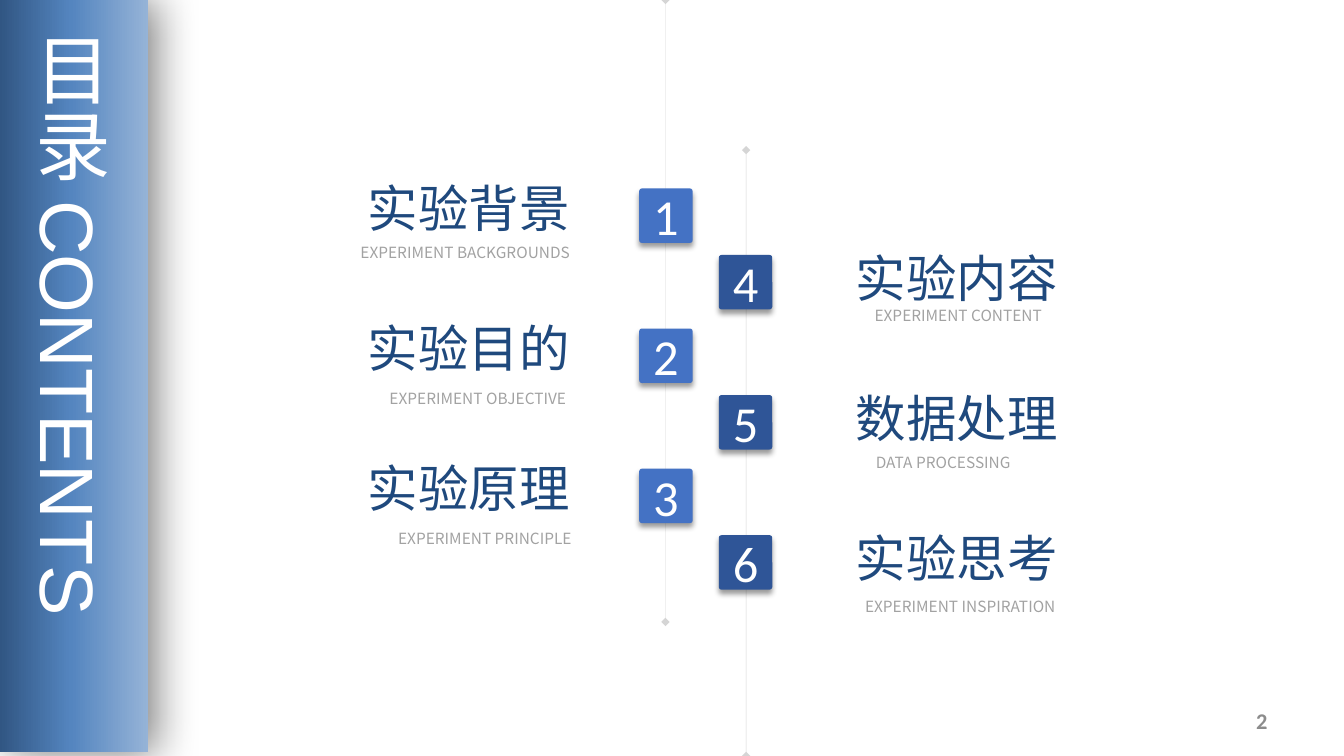
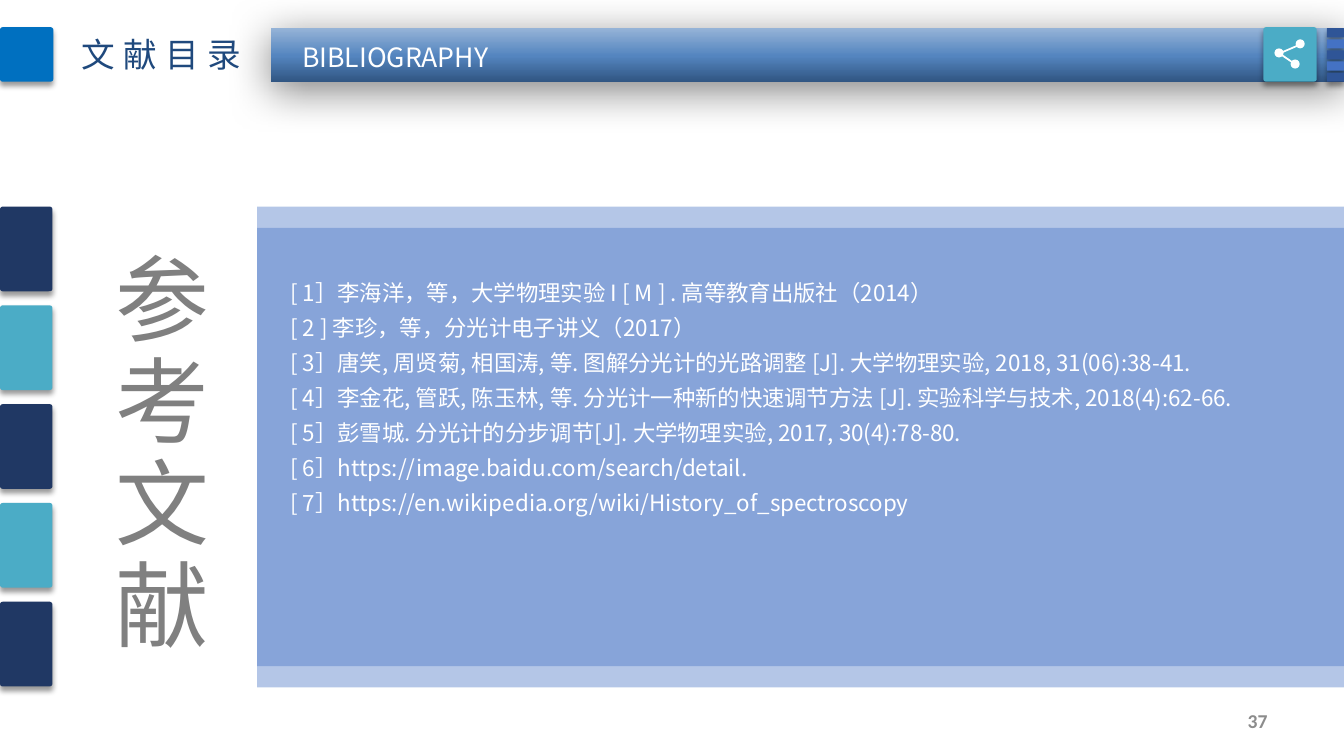
"""Builds the contents slide and the bibliography slide of a physics lab report."""
from lxml import etree
from pptx import Presentation
from pptx import util as u
from pptx.dml.color import RGBColor
from pptx.enum import shapes, text
from pptx.oxml.ns import qn

HAN = "Noto Sans CJK SC"
WHITE, NAVY, BLUE, DEEP, TEAL = "FFFFFF", "1F497D", "4472C4", "2F5597", "4BACC6"
GRADIENT = [(0, "315683"), (48, "5485BF"), (100, "95B3D7")]
SOFT_SHADOW = {"alpha": 40, "blur": 4, "dist": 3, "angle": 90}
WIDE_SHADOW = {"alpha": 50, "blur": 31, "dist": 6, "angle": 97}
STYLES = {
    "side title": ({"size": u.Pt(54), "name": HAN}, WHITE),
    "side latin": ({"size": u.Pt(54), "name": "Arial"}, WHITE),
    "page title": ({"size": u.Pt(24), "name": HAN}, NAVY),
    "band": ({"size": u.Pt(19), "name": HAN}, WHITE),
    "number": ({"size": u.Pt(36), "name": "Calibri"}, WHITE),
    "heading": ({"size": u.Pt(36), "name": HAN}, NAVY),
    "caption": ({"size": u.Pt(11), "name": HAN}, "A2A2A2"),
    "vertical": ({"size": u.Pt(67), "name": HAN}, "808080"),
    "reference": ({"size": u.Pt(16), "name": HAN}, WHITE),
    "page 16": ({"size": u.Pt(16), "name": "Calibri", "bold": True}, "8C8C8C"),
    "page 14": ({"size": u.Pt(14), "name": "Calibri", "bold": True}, "8C8C8C"),
}
CHAPTERS = [
    ("实验背景", "EXPERIMENT BACKGROUNDS", (3.42, 2.36, 2.39)),
    ("实验目的", "EXPERIMENT OBJECTIVE", (3.74, 3.81, 2)),
    ("实验原理", "EXPERIMENT PRINCIPLE", (3.82, 5.2, 1.98)),
    ("实验内容", "EXPERIMENT CONTENT", (8.53, 2.99, 1.95)),
    ("数据处理", "DATA PROCESSING", (8.55, 4.45, 1.61)),
    ("实验思考", "EXPERIMENT INSPIRATION", (8.43, 5.87, 2.19)),
]
REFERENCES = [
    "[ 1］李海洋，等，大学物理实验 I [ M ] . 高等教育出版社（2014）",
    "[ 2 ] 李珍，等，分光计电子讲义（2017）",
    "[ 3］唐笑, 周贤菊, 相国涛, 等. 图解分光计的光路调整 [J]. 大学物理实验, 2018, 31(06):38-41.",
    "[ 4］李金花, 管跃, 陈玉林, 等. 分光计一种新的快速调节方法 [J]. 实验科学与技术, 2018(4):62-66.",
    "[ 5］彭雪城. 分光计的分步调节[J]. 大学物理实验, 2017, 30(4):78-80.",
    "[ 6］https://image.baidu.com/search/detail.",
    "[ 7］https://en.wikipedia.org/wiki/History_of_spectroscopy",
]


def rgb(code):
    """Turn a hex string into a colour."""
    return RGBColor.from_string(code)


def add_xml(parent, tag, **values):
    """Append a drawing element with the given attributes."""
    return etree.SubElement(parent, qn(tag), {k: str(v) for k, v in values.items()})


def inches(box):
    """Convert a sequence of numbers to lengths."""
    return [u.Inches(value) for value in box]


class Deck:
    """Holds the presentation, its style and the current slide."""

    def __init__(self):
        """Start a wide presentation."""
        self.show = Presentation()
        self.show.slide_width, self.show.slide_height = inches((13.33, 7.5))
        self.slide = None

    def new_slide(self, layout):
        """Begin a slide on the given layout."""
        self.slide = self.show.slides.add_slide(self.show.slide_layouts[layout])

    def put_words(self, paragraph, words, style, spacing=0):
        """Add a styled run to a paragraph."""
        run = paragraph.add_run()
        run.text = words
        formats, colour = STYLES[style]
        for key, value in formats.items():
            setattr(run.font, key, value)
        run.font.color.rgb = rgb(colour)
        props = run.font._element
        add_xml(props, "a:ea", typeface=formats["name"])
        if spacing:
            props.set("spc", str(spacing * 100))

    def set_frame(self, frame, vertical=False, **values):
        """Apply frame settings over the shared defaults."""
        settings = {"word_wrap": True, "vertical_anchor": text.MSO_ANCHOR.TOP,
                    "auto_size": text.MSO_AUTO_SIZE.NONE, **values}
        for key, value in settings.items():
            setattr(frame, key, value)
        if vertical:
            frame._txBody.bodyPr.set("vert", "eaVert")

    def place(self, holder, box):
        """Move a placeholder and bring it to the front."""
        holder.left, holder.top, holder.width, holder.height = inches(box)
        holder.element.getparent().append(holder.element)

    def title(self, box, runs, spacing=0, **frame):
        """Fill the title placeholder with styled runs."""
        holder = self.slide.shapes.title
        self.place(holder, box)
        self.set_frame(holder.text_frame, **frame)
        paragraph = holder.text_frame.paragraphs[0]
        paragraph.alignment = text.PP_ALIGN.LEFT
        for words, style in runs:
            self.put_words(paragraph, words, style, spacing)

    def body(self, box, lines, style):
        """Fill the body placeholder with an unbulleted list."""
        holder = self.slide.placeholders[1]
        self.place(holder, box)
        frame = holder.text_frame
        self.set_frame(frame)
        for index, line in enumerate(lines):
            paragraph = frame.add_paragraph() if index else frame.paragraphs[0]
            props = paragraph._p.get_or_add_pPr()
            props.set("marL", "0")
            props.set("indent", "0")
            add_xml(props, "a:buNone")
            paragraph.space_before = u.Pt(0)
            paragraph.line_spacing = 1.3
            self.put_words(paragraph, line, style)

    def label(self, box, words, style, align=text.PP_ALIGN.LEFT, spacing=0, **frame):
        """Add a text box with one line."""
        holder = self.slide.shapes.add_textbox(*inches(box))
        fit = {"word_wrap": False, "auto_size": text.MSO_AUTO_SIZE.SHAPE_TO_FIT_TEXT}
        self.set_frame(holder.text_frame, **{**fit, **frame})
        paragraph = holder.text_frame.paragraphs[0]
        paragraph.alignment = align
        self.put_words(paragraph, words, style, spacing)

    def page_number(self, words, style):
        """Add the page number at the bottom right."""
        self.label((9.56, 6.95, 3.11, 0.4), words, style, text.PP_ALIGN.RIGHT,
                   word_wrap=True, auto_size=text.MSO_AUTO_SIZE.NONE,
                   vertical_anchor=text.MSO_ANCHOR.MIDDLE)

    def block(self, box, colour, kind=shapes.MSO_SHAPE.RECTANGLE, alpha=100, shadow=None):
        """Add a filled shape without outline."""
        shape = self.slide.shapes.add_shape(kind, *inches(box))
        shape.fill.solid()
        shape.fill.fore_color.rgb = rgb(colour)
        if alpha < 100:
            self.fade(shape, alpha)
        shape.line.fill.background()
        shape.shadow.inherit = False
        if shadow:
            self.cast(shape, **shadow)
        return shape

    def tile(self, box, colour, number=""):
        """Add a slightly rounded tile with a soft shadow and an optional number."""
        tile = self.block(box, colour, shapes.MSO_SHAPE.ROUNDED_RECTANGLE, shadow=SOFT_SHADOW)
        tile.adjustments[0] = 0.05
        if number:
            self.set_frame(tile.text_frame, vertical_anchor=text.MSO_ANCHOR.MIDDLE)
            paragraph = tile.text_frame.paragraphs[0]
            paragraph.alignment = text.PP_ALIGN.CENTER
            self.put_words(paragraph, number, "number")

    def band(self, box, angle, shadow):
        """Add a gradient band with a wide shadow."""
        band = self.block(box, BLUE, shadow=shadow)
        band.fill.gradient()
        band.fill.gradient_angle = angle
        stops = band.element.spPr.find(".//" + qn("a:gsLst"))
        stops.clear()
        for position, colour in GRADIENT:
            stop = add_xml(stops, "a:gs", pos=position * 1000)
            add_xml(stop, "a:srgbClr", val=colour)

    def line(self, start, end, colour, width, alpha=100, ends=None):
        """Add a straight line, optionally faded and with end marks."""
        line = self.slide.shapes.add_connector(
            shapes.MSO_CONNECTOR.STRAIGHT, *inches(start + end))
        line.line.color.rgb = rgb(colour)
        line.line.width = u.Pt(width)
        if alpha < 100:
            self.fade(line, alpha)
        if ends:
            for tag in ("a:headEnd", "a:tailEnd"):
                add_xml(line.line._get_or_add_ln(), tag, type=ends)
        add_xml(line.element.spPr, "a:effectLst")

    def fade(self, shape, alpha):
        """Set the opacity of the colour of a shape, in percent."""
        colour = shape.element.spPr.find(".//" + qn("a:srgbClr"))
        add_xml(colour, "a:alpha", val=alpha * 1000)

    def cast(self, shape, alpha, blur, dist, angle):
        """Give a shape an outer shadow."""
        effects = shape.element.spPr.find(qn("a:effectLst"))
        outer = add_xml(effects, "a:outerShdw", blurRad=u.Pt(blur), dist=u.Pt(dist),
                        dir=angle * 60000, algn="ctr", rotWithShape=0)
        add_xml(add_xml(outer, "a:srgbClr", val="000000"), "a:alpha", val=alpha * 1000)


def contents(deck):
    """Build the contents slide."""
    deck.new_slide(5)
    deck.line((7.4, 1.49), (7.4, 7.5), "808080", 0.25, 33, "diamond")
    deck.line((6.6, 0), (6.6, 6.17), "808080", 0.25, 33, "diamond")
    deck.band((0, 0, 1.47, 7.46), 0, {**WIDE_SHADOW, "angle": 0})
    deck.title((0.14, 0.27, 1.11, 7.23),
               [("目录 ", "side title"), ("CONTENTS", "side latin")], vertical=True)
    columns = [(6.34, 1.87, BLUE, 3.55, 1.71), (7.13, 2.53, DEEP, 8.39, 2.4)]
    for index, (heading, caption, spot) in enumerate(CHAPTERS):
        column, row = divmod(index, 3)
        tile_left, tile_top, colour, left, top = columns[column]
        drop = row * 1.39
        deck.tile((tile_left, tile_top + drop, 0.53, 0.54), colour, str(index + 1))
        deck.label((left, top + drop, 2.22, 0.71), heading, "heading")
        deck.label((*spot, 0.29), caption, "caption", text.PP_ALIGN.CENTER)
    deck.page_number("2", "page 16")


def bibliography(deck):
    """Build the bibliography slide."""
    deck.new_slide(1)
    for top in (2.26, 2.05):
        deck.block((2.55, top, 10.78, 4.56), BLUE, alpha=40)
    for index in range(5):
        deck.tile((0, 2.05 + index * 0.98, 0.52, 0.84), ("203864", TEAL)[index % 2])
    deck.label((0.86, 2.4, 1.33, 4.11), "参考文献", "vertical", spacing=6, vertical=True)
    deck.body((2.78, 2.64, 10.23, 2.54), REFERENCES, "reference")
    deck.band((2.69, 0.28, 10.64, 0.53), 90, WIDE_SHADOW)
    deck.tile((0, 0.27, 0.53, 0.54), "0070C0")
    deck.title((0.71, 0.29, 1.8, 0.5), [("文献目录", "page title")], 6, word_wrap=False,
               auto_size=text.MSO_AUTO_SIZE.SHAPE_TO_FIT_TEXT)
    deck.label((2.85, 0.36, 2.14, 0.42), "BIBLIOGRAPHY", "band", text.PP_ALIGN.CENTER)
    for index in range(5):
        deck.tile((13.16, 0.28 + index * 0.11, 0.17, 0.09), (DEEP, BLUE)[index % 2])
    deck.tile((12.53, 0.27, 0.53, 0.54), TEAL)
    hub, upper, lower = nodes = [(12.69, 0.53), (12.9, 0.44), (12.85, 0.64)]
    for node in (upper, lower):
        deck.line(hub, node, WHITE, 1.25)
    for x, y in nodes:
        deck.block((x - 0.05, y - 0.05, 0.09, 0.09), WHITE, shapes.MSO_SHAPE.OVAL)
    deck.page_number("37", "page 14")


def main():
    """Build and save both slides."""
    deck = Deck()
    contents(deck)
    bibliography(deck)
    deck.show.save("out.pptx")


if __name__ == "__main__":
    main()
